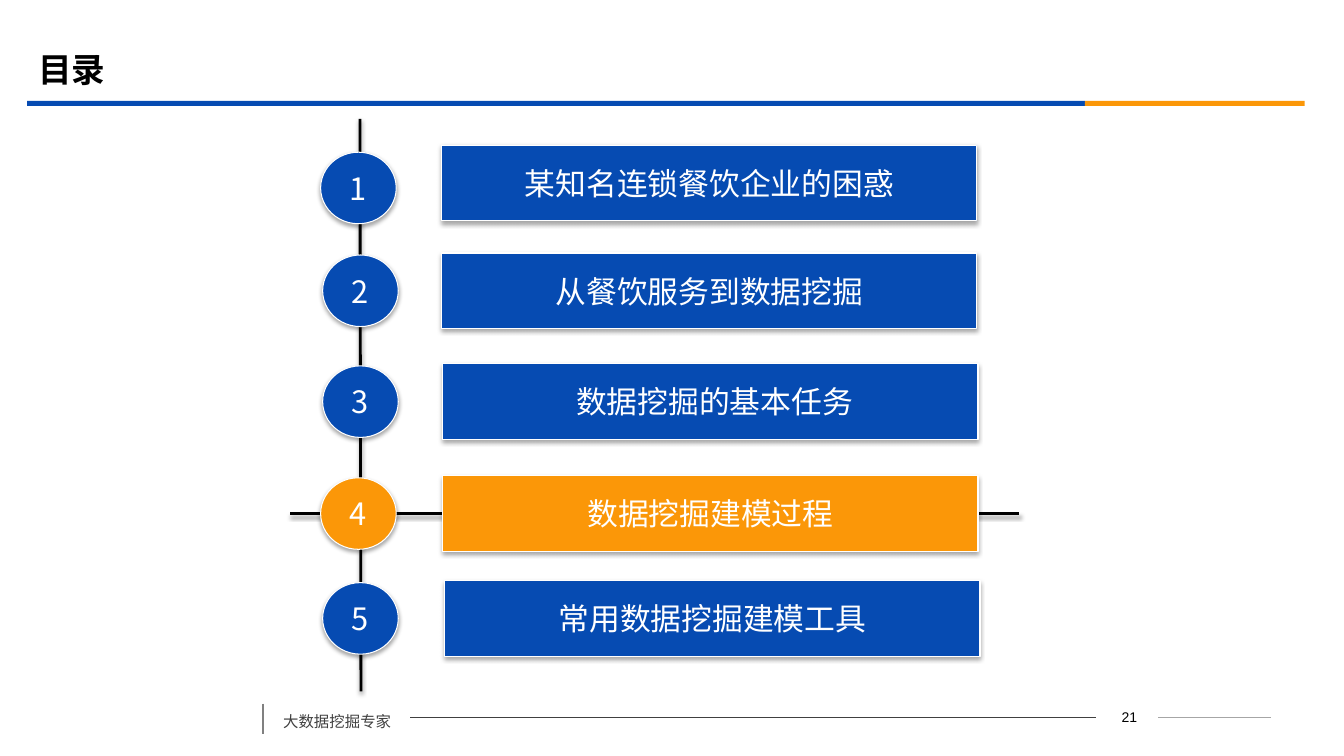
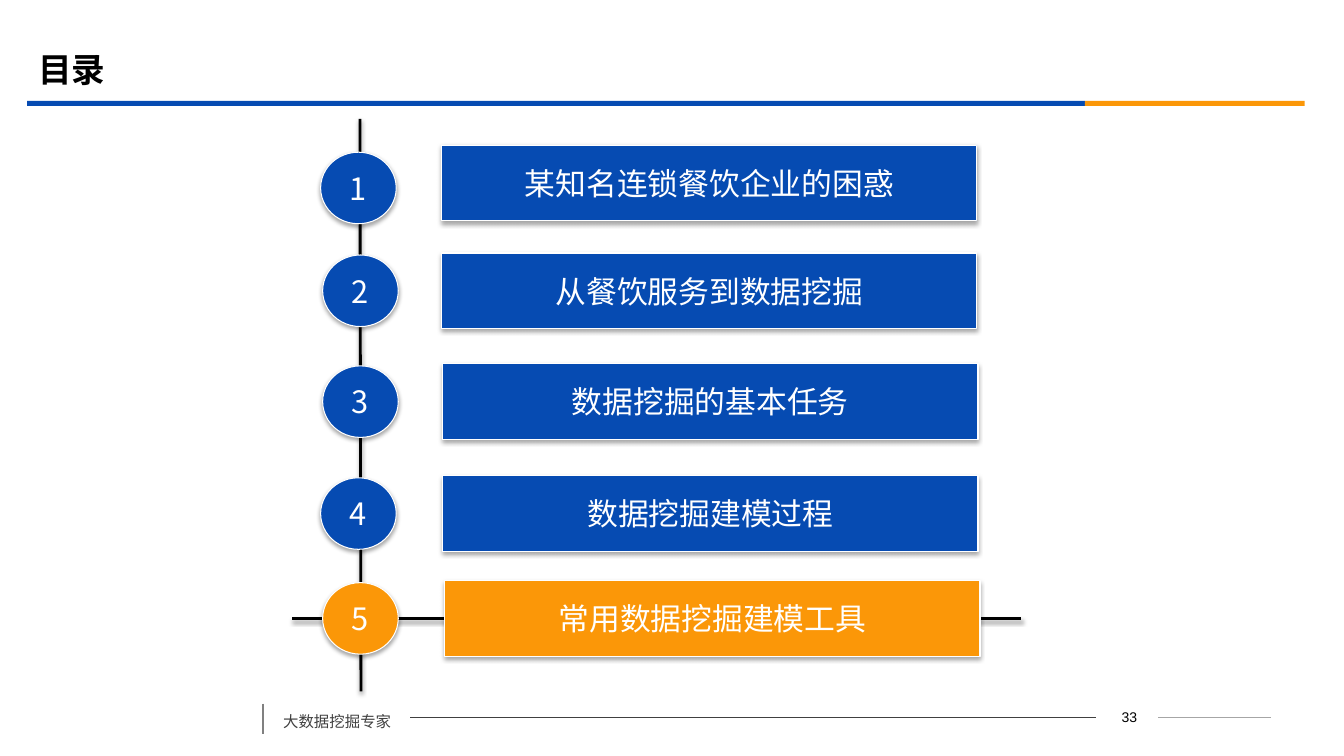
from lxml import etree
from pptx import Presentation, util as u
from pptx.dml.color import RGBColor
from pptx.enum import shapes, text
from pptx.oxml.ns import qn

# Content: the highlighted chapter, page number and label indents of each slide
TITLE = "目录"
FOOTER = "大数据挖掘专家"
AGENDAS = [
    {"current": 4, "page": "21", "indents": {3: 0.08}},
    {"current": 5, "page": "33", "indents": {}},
]
# Chapter label, then left and top of its circle and of its bar
CHAPTERS = [
    ("某知名连锁餐饮企业的困惑", (3.18, 1.51), (4.38, 1.44)),
    ("从餐饮服务到数据挖掘", (3.2, 2.53), (4.38, 2.51)),
    ("数据挖掘的基本任务", (3.2, 3.63), (4.39, 3.61)),
    ("数据挖掘建模过程", (3.18, 4.74), (4.39, 4.72)),
    ("常用数据挖掘建模工具", (3.2, 5.78), (4.41, 5.76)),
]

# Shared style
BLUE, ORANGE, WHITE, BLACK = "064BB2", "FB9708", "FFFFFF", "000000"
DARK, GREY, PALE = "404040", "808080", "A6A6A6"
CJK, LATIN = "Noto Sans CJK SC", "Arial"
CIRCLE_SIZE, BAR_SIZE = (0.75, 0.71), (5.31, 0.75)
CROSS_BEFORE, CROSS_AFTER = 1.51, 0.41
RULE_TOP, RULE_HEIGHT = 1, 0.05
RULES = [(0.27, 10.49, BLUE), (10.76, 2.18, ORANGE)]
FOOTER_LINES = [
    ((11.49, 7.12), (12.61, 7.12), PALE, 0.75),
    ((4.07, 7.12), (10.87, 7.12), DARK, 0.75),
    ((2.61, 6.98), (2.61, 7.28), GREY, 1.25),
]


def color(value):
    return RGBColor.from_string(value)


def set_shadow(item, alpha=None, distance=0):
    """Give the shape a soft shadow below, or none without alpha."""
    properties = item._element.spPr
    for old in properties.findall(qn("a:effectLst")):
        properties.remove(old)
    effects = etree.SubElement(properties, qn("a:effectLst"))
    if alpha:
        outer = etree.SubElement(
            effects, qn("a:outerShdw"), blurRad=str(u.Pt(3.1)),
            dist=str(u.Pt(distance)), dir="5400000", rotWithShape="0")
        tone = etree.SubElement(outer, qn("a:srgbClr"), val=BLACK)
        etree.SubElement(tone, qn("a:alpha"), val=str(alpha * 1000))


def write(box, words, size, tone, font=CJK, align=text.PP_ALIGN.CENTER,
          bold=False, wrap=False):
    frame = box.text_frame
    frame.text = words
    frame.word_wrap = wrap
    frame.vertical_anchor = text.MSO_ANCHOR.MIDDLE
    para = frame.paragraphs[0]
    para.alignment = align
    span = para.runs[0]
    span.font.size, span.font.bold, span.font.name = u.Pt(size), bold, font
    span.font.color.rgb = color(tone)
    etree.SubElement(span._r.get_or_add_rPr(), qn("a:ea"), typeface=font)


def add_text(page, left, top, width, height, words, size, tone, **style):
    box = page.shapes.add_textbox(*map(u.Inches, (left, top, width, height)))
    write(box, words, size, tone, wrap=True, **style)


def add_line(page, start, end, tone, weight):
    line = page.shapes.add_connector(
        shapes.MSO_CONNECTOR.STRAIGHT, *map(u.Inches, start + end))
    line.line.color.rgb = color(tone)
    line.line.width = u.Pt(weight)
    set_shadow(line)
    return line


def add_block(page, kind, place, size, fill):
    block = page.shapes.add_shape(kind, *map(u.Inches, place + size))
    block.shadow.inherit = False
    block.fill.solid()
    block.fill.fore_color.rgb = color(fill)
    block.line.fill.background()
    return block


def add_button(page, kind, place, size, fill, words, indent=0):
    button = add_block(page, kind, place, size, fill)
    button.line.color.rgb = color(WHITE)
    button.line.width = u.Pt(0.75)
    set_shadow(button, 35, 1.8)
    write(button, words, 22, WHITE)
    button.text_frame.margin_left = u.Inches(0.1 + indent)


def add_frame(page, number):
    """Title, two-colour rule and footer."""
    left = text.PP_ALIGN.LEFT
    add_text(page, 0.28, 0.39, 12, 0.58, TITLE, 24, BLACK, align=left, bold=True)
    for start, width, tone in RULES:
        add_block(page, shapes.MSO_SHAPE.RECTANGLE, (start, RULE_TOP),
                  (width, RULE_HEIGHT), tone)
    for line in FOOTER_LINES:
        add_line(page, *line)
    add_text(page, 2.71, 6.97, 1.36, 0.38, FOOTER, 11, DARK, align=left)
    add_text(page, 10.89, 6.99, 0.62, 0.25, number, 10, BLACK, font=LATIN)


def add_agenda(page, current, indents):
    # Timeline, and the line crossing it at the current chapter
    left, top = CHAPTERS[current - 1][2]
    middle = top + BAR_SIZE[1] / 2
    crossing = ((left - CROSS_BEFORE, middle),
                (left + BAR_SIZE[0] + CROSS_AFTER, middle))
    for start, end in (((3.57, 1.18), (3.58, 6.86)), crossing):
        set_shadow(add_line(page, start, end, BLACK, 2), 38, 1.6)

    # Numbered circles and chapter bars
    for number, (label, circle, bar) in enumerate(CHAPTERS, 1):
        fill = ORANGE if number == current else BLUE
        add_button(page, shapes.MSO_SHAPE.ACTION_BUTTON_CUSTOM, bar, BAR_SIZE,
                   fill, label, indents.get(number, 0))
        add_button(page, shapes.MSO_SHAPE.OVAL, circle, CIRCLE_SIZE,
                   fill, str(number))


def main():
    deck = Presentation()
    deck.slide_width, deck.slide_height = u.Inches(13.33), u.Inches(7.5)
    for agenda in AGENDAS:
        page = deck.slides.add_slide(deck.slide_layouts[6])
        add_frame(page, agenda["page"])
        add_agenda(page, agenda["current"], agenda["indents"])
    deck.save("out.pptx")


if __name__ == "__main__":
    main()
